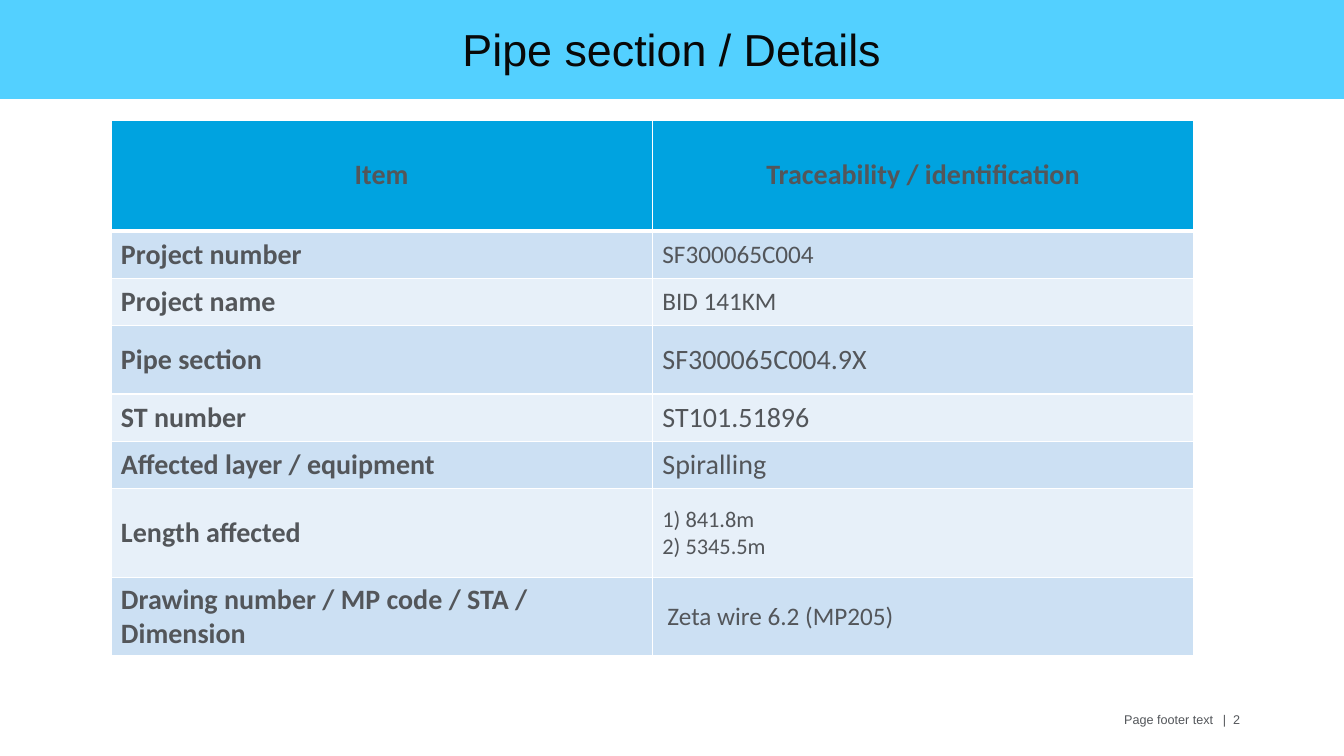
from lxml.etree import SubElement
from pptx import Presentation
from pptx.dml.color import RGBColor
from pptx.enum.shapes import MSO_SHAPE
from pptx.enum.text import MSO_ANCHOR, PP_ALIGN
from pptx.oxml.ns import qn
from pptx.util import Inches, Pt

SKY = RGBColor(0x53, 0xD0, 0xFF)
BLUE = RGBColor(0x00, 0xA3, 0xE0)
BANDS = (RGBColor(0xCC, 0xE0, 0xF3), RGBColor(0xE7, 0xF0, 0xF9))
GREY = RGBColor(0x53, 0x56, 0x5A)
INK = RGBColor(0x08, 0x08, 0x08)
WHITE = RGBColor(0xFF, 0xFF, 0xFF)

HEADINGS = ("Item", "Traceability / identification")
HEADING_HEIGHT = 1.1
DETAILS = (
    ("Project number", "SF300065C004", 18, 0.47),
    ("Project name", "BID 141KM", 18, 0.47),
    ("Pipe section", "SF300065C004.9X", 20, 0.68),
    ("ST number", "ST101.51896", 20, 0.47),
    ("Affected layer / equipment", "Spiralling", 20, 0.47),
    ("Length affected", "1) 841.8m\n2) 5345.5m", 16, 0.88),
    ("Drawing number / MP code / STA / Dimension", "Zeta wire 6.2 (MP205)", 18, 0.78),
)


def style_text(frame, name, size, color, bold=False, align=PP_ALIGN.LEFT):
    """Format every run of a text frame."""
    for para in frame.paragraphs:
        para.alignment = align
        for span in para.runs:
            span.font.name = name
            span.font.size = Pt(size)
            span.font.bold = bold
            span.font.color.rgb = color


def add_title(page, text):
    """Add the coloured title band."""
    band = page.shapes.add_shape(
        MSO_SHAPE.RECTANGLE, 0, Inches(-0.01), Inches(13.33), Inches(0.99))
    band.shadow.inherit = False
    band.fill.solid()
    band.fill.fore_color.rgb = SKY
    band.line.fill.background()
    band.text_frame.text = text
    band.text_frame.vertical_anchor = MSO_ANCHOR.MIDDLE
    style_text(band.text_frame, "Arial", 32, INK, align=PP_ALIGN.CENTER)


def set_borders(cell, top, bottom):
    """Draw white borders, given the top and bottom widths in points."""
    properties = cell._tc.get_or_add_tcPr()
    widths = {"a:lnL": 1, "a:lnR": 1, "a:lnT": top, "a:lnB": bottom}
    for position, (tag, width) in enumerate(widths.items()):
        line = properties.makeelement(qn(tag), {"w": str(Pt(width))})
        properties.insert(position, line)
        fill = SubElement(line, qn("a:solidFill"))
        SubElement(fill, qn("a:srgbClr"), val=str(WHITE))


def fill_cell(cell, text, size, bold, color, align=PP_ALIGN.LEFT, top=1, bottom=1):
    """Fill one table cell with formatted text."""
    cell.text_frame.text = text
    cell.vertical_anchor = MSO_ANCHOR.MIDDLE
    style_text(cell.text_frame, "Calibri", size, GREY, bold, align)
    cell.fill.solid()
    cell.fill.fore_color.rgb = color
    set_borders(cell, top, bottom)


def add_details(page):
    """Add the table of pipe section details."""
    heights = [HEADING_HEIGHT] + [detail[3] for detail in DETAILS]
    table = page.shapes.add_table(
        len(heights), len(HEADINGS), Inches(1.1), Inches(1.19),
        Inches(10.74), Inches(sum(heights))).table
    for row, height in zip(table.rows, heights):
        row.height = Inches(height)
    for column, heading in enumerate(HEADINGS):
        fill_cell(table.cell(0, column), heading, 20, True, BLUE,
                  PP_ALIGN.CENTER, bottom=3)
    for row, (item, value, size, _) in enumerate(DETAILS, 1):
        color = BANDS[(row - 1) % 2]
        top = 3 if row == 1 else 1
        fill_cell(table.cell(row, 0), item, 20, True, color, top=top)
        fill_cell(table.cell(row, 1), value, size, False, color, top=top)
    table.cell(len(DETAILS), 1).margin_left = Inches(0.15)


def add_footer(page, text, stops):
    """Add the footer line with its tab stops in inches."""
    box = page.shapes.add_textbox(Inches(9.12), Inches(7.01), Inches(3.3), Inches(0.4))
    frame = box.text_frame
    frame.word_wrap = True
    frame.margin_left = Inches(2.03)
    frame.margin_right = 0
    frame.text = text
    tabs = SubElement(frame.paragraphs[0]._p.get_or_add_pPr(), qn("a:tabLst"))
    for stop in stops:
        SubElement(tabs, qn("a:tab"), pos=str(Inches(stop)), algn="l")
    style_text(frame, "Arial", 9, GREY)


def main():
    """Build the slide and save it."""
    deck = Presentation()
    deck.slide_width = Inches(13.33)
    deck.slide_height = Inches(7.5)
    page = deck.slides.add_slide(deck.slide_layouts[6])
    add_footer(page, "Page footer text\t|\t2", (0.98, 1.08))
    add_details(page)
    add_title(page, "Pipe section / Details")
    deck.save("out.pptx")


if __name__ == "__main__":
    main()
